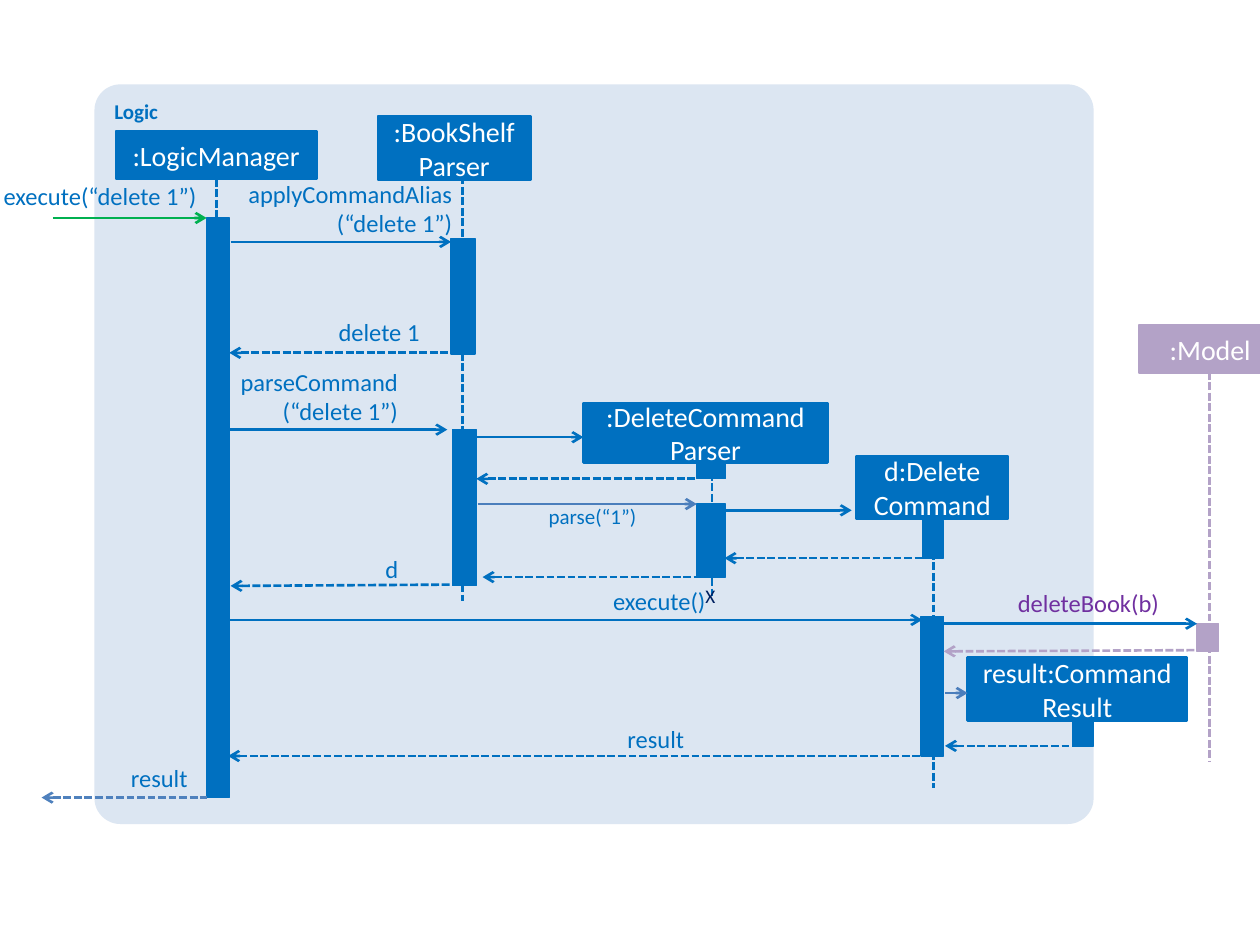
from lxml import etree
from pptx import Presentation, util as u
from pptx.dml.color import RGBColor
from pptx.enum import dml, shapes, text
from pptx.oxml.ns import qn

BLUE, STEEL, MAUVE, WHITE = "0070C0", "4F81BD", "B3A2C7", "FFFFFF"
LEFT, CENTER, RIGHT = text.PP_ALIGN.LEFT, text.PP_ALIGN.CENTER, text.PP_ALIGN.RIGHT


def rgb(value):
    return RGBColor.from_string(value)


class SequenceDiagram:
    """Draws the parts of a sequence diagram on one slide in one style."""

    font = "Calibri"

    def __init__(self, slide):
        self.shapes = slide.shapes

    def add_words(self, frame, words, size, color, align, bold=False):
        frame.word_wrap = True
        for number, line in enumerate(words.split("\n")):
            paragraph = frame.add_paragraph() if number else frame.paragraphs[0]
            paragraph.alignment = align
            for part, piece in enumerate(line.split("\v")):
                if part:
                    paragraph.add_line_break()
                run = paragraph.add_run()
                run.text = piece
                run.font.name, run.font.size, run.font.bold = self.font, u.Pt(size), bold
                run.font.color.rgb = rgb(color)

    def block(self, place, color, border=None, kind=shapes.MSO_SHAPE.RECTANGLE):
        block = self.shapes.add_shape(kind, *map(u.Inches, place))
        block.shadow.inherit = False
        block.fill.solid()
        block.fill.fore_color.rgb = rgb(color)
        if border:
            block.line.color.rgb = rgb(color)
            block.line.width = u.Pt(border)
        else:
            block.line.fill.background()
        return block

    def panel(self, place, title, color):
        panel = self.block(place, color, kind=shapes.MSO_SHAPE.ROUNDED_RECTANGLE)
        panel.adjustments[0] = 0.035
        panel.text_frame.vertical_anchor = text.MSO_ANCHOR.TOP
        self.add_words(panel.text_frame, title, 12, BLUE, LEFT, True)

    def participant(self, place, name, color=BLUE):
        frame = self.block(place, color, 1.5).text_frame
        frame.vertical_anchor = text.MSO_ANCHOR.MIDDLE
        self.add_words(frame, name, 16, WHITE, CENTER)

    def activation(self, place, color=BLUE):
        self.block(place, color, 0.75)

    def line(self, x1, y1, x2, y2, color, dashed=False, arrow=None):
        line = self.shapes.add_connector(
            shapes.MSO_CONNECTOR.STRAIGHT, *map(u.Inches, (x1, y1, x2, y2)))
        line.line.color.rgb = rgb(color)
        line.line.width = u.Pt(1.5)
        if dashed:
            line.line.dash_style = dml.MSO_LINE.SQUARE_DOT
        properties = line._element.spPr
        if arrow:
            etree.SubElement(properties.find(qn("a:ln")), qn(arrow)).set("type", "arrow")
        etree.SubElement(properties, qn("a:effectLst"))

    def lifeline(self, x, top, bottom, color=BLUE):
        self.line(x, top, x, bottom, color, dashed=True)

    def call(self, start, end, y, color=BLUE):
        self.line(start, y, end, y, color, arrow="a:tailEnd")

    def reply(self, target, source, y, color=BLUE, rise=0):
        self.line(target, y, source, y - rise, color, True, "a:headEnd")

    def label(self, place, words, size=14, color=BLUE, align=RIGHT, flush=True):
        frame = self.shapes.add_textbox(*map(u.Inches, place)).text_frame
        self.add_words(frame, words, size, color, align)
        frame.auto_size = text.MSO_AUTO_SIZE.SHAPE_TO_FIT_TEXT
        if flush:
            frame.margin_left = frame.margin_right = 0
            frame.margin_top = frame.margin_bottom = 0
        else:
            frame.word_wrap = False


deck = Presentation()
deck.slide_width, deck.slide_height = u.Inches(10), u.Inches(7.5)
diagram = SequenceDiagram(deck.slides.add_slide(deck.slide_layouts[6]))

diagram.panel((0.75, 0.67, 7.93, 5.87), "Logic", "DCE6F2")

for lifeline in (
    (1.72, 1.42, 5.75),
    (3.67, 1.4, 1.89),
    (3.67, 2.8, 4.77),
    (5.65, 3.67, 4.75),
    (7.41, 4.13, 6.25),
    (9.6, 2.95, 6.05, MAUVE),
):
    diagram.lifeline(*lifeline)

for participant in (
    ((0.92, 1.04, 1.59, 0.38), ":LogicManager"),
    ((3, 0.92, 1.21, 0.51), ":BookShelfParser"),
    ((4.63, 3.2, 1.94, 0.47), ":DeleteCommand\nParser"),
    ((6.8, 3.62, 1.2, 0.5), "d:Delete\vCommand"),
    ((7.68, 5.22, 1.74, 0.5), "result:Command Result"),
    ((9.04, 2.58, 1.13, 0.38), ":Model", MAUVE),
):
    diagram.participant(*participant)

for activation in (
    ((1.64, 1.73, 0.18, 4.6),),
    ((3.58, 1.89, 0.19, 0.92),),
    ((3.59, 3.41, 0.19, 1.24),),
    ((5.53, 3.67, 0.23, 0.13),),
    ((5.53, 4, 0.23, 0.58),),
    ((7.32, 4.13, 0.17, 0.3),),
    ((7.31, 4.89, 0.18, 1.11),),
    ((8.51, 5.73, 0.17, 0.19),),
    ((9.5, 4.95, 0.17, 0.22), MAUVE),
):
    diagram.activation(*activation)

for call in (
    (0.42, 1.64, 1.73, "00B050"),
    (1.83, 3.58, 1.92),
    (1.81, 3.55, 3.41),
    (3.73, 4.63, 3.47),
    (3.79, 5.53, 4, "4B7EBC"),
    (5.75, 6.76, 4.05),
    (1.81, 7.32, 4.92),
    (7.49, 9.5, 4.95),
    (7.5, 7.68, 5.5, "4B7EBC"),
):
    diagram.call(*call)

for reply in (
    (1.82, 3.56, 2.8),
    (3.78, 5.53, 3.8),
    (5.75, 7.38, 4.43),
    (3.83, 5.65, 4.58),
    (1.83, 3.57, 4.65, BLUE, 0.01),
    (7.49, 9.5, 5.17, MAUVE, 0.01),
    (7.5, 8.56, 5.92),
    (1.81, 7.33, 6),
    (0.33, 1.64, 6.33, STEEL),
):
    diagram.reply(*reply)

for label in (
    ((0, 1.44, 1.56, 0.24), "execute(“delete 1”)"),
    ((1.92, 1.42, 1.67, 0.47), "applyCommandAlias(“delete 1”)"),
    ((2.16, 2.52, 1.17, 0.24), "delete 1"),
    ((1.9, 2.91, 1.26, 0.47), "parseCommand(“delete 1”)"),
    ((4.21, 4, 0.84, 0.2), "parse(“1”)", 12),
    ((2.92, 4.4, 0.24, 0.24), "d"),
    ((4.66, 4.65, 0.94, 0.24), "execute()"),
    ((7.64, 4.67, 1.56, 0.24), "deleteBook(b)", 14, "7030A0"),
    ((4.75, 5.75, 0.68, 0.24), "result"),
    ((0.66, 6.06, 0.83, 0.24), "result"),
    ((5.5, 4.59, 0.28, 0.29), "X", 11, "002060", LEFT, False),
):
    diagram.label(*label)

deck.save("out.pptx")
